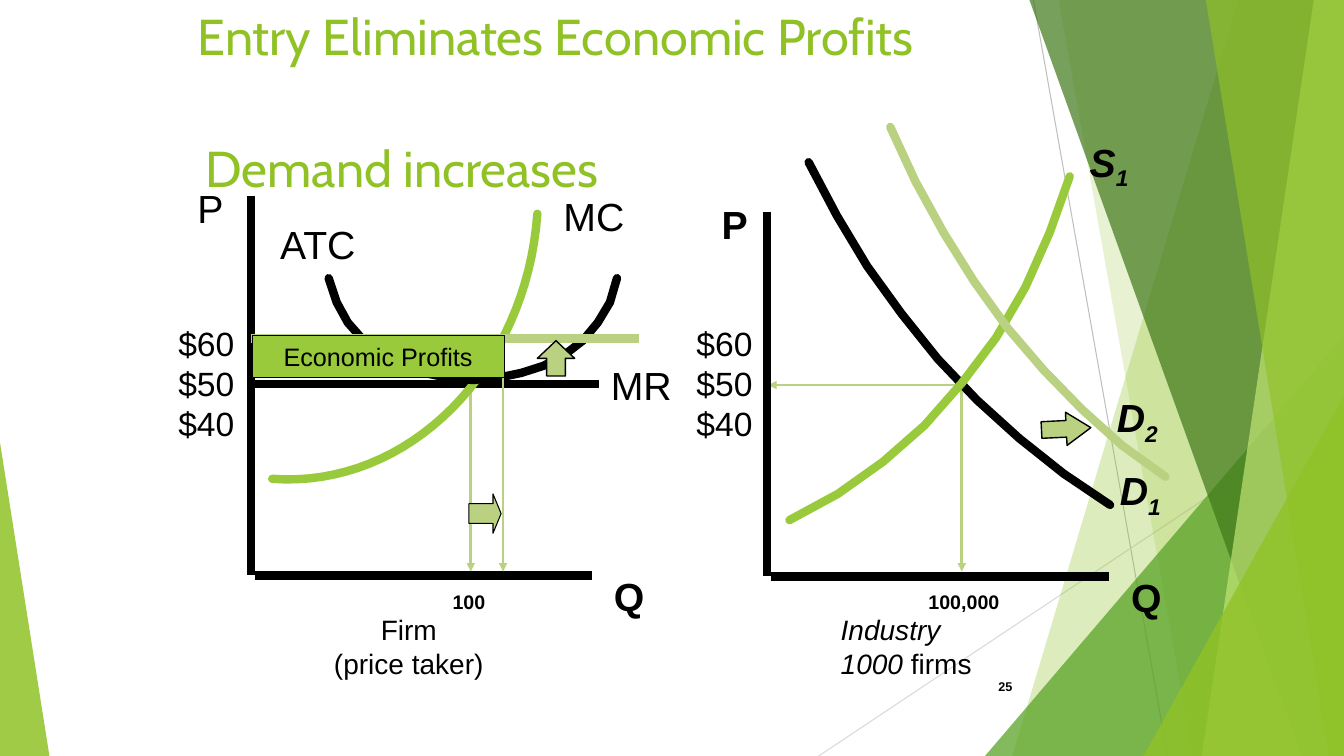
from lxml import etree
from pptx import Presentation
from pptx.dml.color import RGBColor
from pptx.enum.shapes import MSO_CONNECTOR, MSO_SHAPE
from pptx.enum.text import MSO_ANCHOR, PP_ALIGN
from pptx.oxml.ns import qn
from pptx.util import Inches, Pt

TRI, RECT = MSO_SHAPE.ISOSCELES_TRIANGLE, MSO_SHAPE.RECTANGLE
UP, RIGHT = MSO_SHAPE.UP_ARROW, MSO_SHAPE.RIGHT_ARROW
STRAIGHT = MSO_CONNECTOR.STRAIGHT
LEFT, MID, END = PP_ALIGN.LEFT, PP_ALIGN.CENTER, PP_ALIGN.RIGHT
TOP, CENTER = MSO_ANCHOR.TOP, MSO_ANCHOR.MIDDLE
BLACK, LIME, PALE, BRAND = "000000", "99CA3C", "B9D181", "90C226"
WIDE, HIGH = 13.33, 7.5

# Backdrop: hairlines, then bands (top left, top right, bottom right, bottom left) and triangles
HAIRS = [(10.25, 0, 11.58, 7.5, "BFBFBF", 0.75), (WIDE, 4.03, 8.12, 7.5, "D9D9D9", 0.75)]
BACKDROP = [
    ("band", (12.28, 10.04), BRAND, 30),
    ("band", (10.5, 11.83), BRAND, 20),
    ("tri", (9.77, 3.33, 3.56, 4.17, 1), "54A021", 72),
    ("band", (10.21, 12.91), "3F7819", 70),
    ("band", (13.03, 11.92), "C0E474", 70),
    ("band", (11.96, 13.18), BRAND, 65),
    ("tri", (11.34, 3.93, 1.99, 3.57, 1), BRAND, 80),
    ("tri", (0, 4.39, 0.49, 3.11, 0), BRAND, 85),
]
# Lines: x1, y1, x2, y2, colour, points
GUIDES = [(9.54, 3.75, 9.54, 5.67, PALE, 2), (4.67, 3.75, 4.67, 5.67, PALE, 2),
          (9.52, 3.82, 7.62, 3.82, PALE, 2)]
AXES = [(2.48, 3.81, 5.94, 3.81, BLACK, 6),
        (2.49, 1.94, 2.49, 5.7, BLACK, 6), (2.53, 5.71, 5.87, 5.71, BLACK, 6),
        (7.61, 2.1, 7.61, 5.71, BLACK, 6), (7.65, 5.72, 11, 5.72, BLACK, 6)]
NEW_PRICE = (2.49, 3.36, 6.34, 3.36, PALE, 6)
NEW_DROP = (4.99, 3.38, 4.99, 5.67, PALE, 1)

DEMAND = [(8.02, 1.61), (8.3, 2.14), (8.6, 2.64), (8.94, 3.11), (9.3, 3.56),
          (9.69, 3.97), (10.11, 4.35), (10.55, 4.7), (11.01, 5.01)]
SUPPLY = [(7.83, 5.16), (8.31, 4.9), (8.76, 4.58), (9.17, 4.22), (9.54, 3.8),
          (9.88, 3.35), (10.17, 2.85), (10.41, 2.31), (10.61, 1.75)]
GROWN = [(8.83, 1.26), (9.08, 1.8), (9.36, 2.31), (9.66, 2.79), (9.99, 3.25),
         (10.35, 3.67), (10.73, 4.06), (11.13, 4.42), (11.56, 4.73)]
ATC = [(3.26, 2.76), (3.34, 3), (3.45, 3.2), (3.6, 3.37), (3.78, 3.52), (3.99, 3.63),
       (4.21, 3.7), (4.45, 3.75), (4.69, 3.77), (4.93, 3.75), (5.17, 3.7), (5.39, 3.63),
       (5.6, 3.52), (5.78, 3.38), (5.93, 3.2), (6.05, 3), (6.12, 2.76)]
MC = [(5.33, 2.12), (5.22, 3.67), (4.05, 4.85), (2.7, 4.75)]  # Bezier control points

# Arrows: shape, box, adjustments, turn, line points
ARROWS = [(UP, (5.33, 3.38, 0.37, 0.35), (0.5, 0.5), 0, 1),
          (RIGHT, (4.65, 4.9, 0.32, 0.39), (0.5, 0.25), 0, 0.75),
          (RIGHT, (10.33, 4.09, 0.49, 0.33), (0.5, 0.74), -2.8, 1)]

# Labels: box, paragraphs of (text, style) runs, size, align; b bold, i italic, s subscript
PRICES = [[("$60", "")], [("$50", "")], [("$40", "")]]
LABELS = [
    ((1.86, 1.78, 0.46, 0.56), [[("P", "")]], 28, LEFT),
    ((5.99, 5.63, 0.5, 0.57), [[("Q", "b")]], 28, LEFT),
    ((5.49, 1.86, 0.97, 0.56), [[("MC", "")]], 28, LEFT),
    ((2.68, 2.14, 1.48, 0.56), [[("ATC", "")]], 28, LEFT),
    ((5.96, 3.54, 0.97, 0.56), [[("MR", "")]], 28, LEFT),
    ((7.06, 1.94, 0.46, 0.56), [[("P", "b")]], 28, LEFT),
    ((11.12, 5.64, 0.5, 0.57), [[("Q", "b")]], 28, LEFT),
    ((10.71, 1.32, 0.67, 0.56), [[("S", "bi"), ("1", "bis")]], 28, LEFT),
    ((11.01, 4.58, 0.66, 0.56), [[("D", "bi"), ("1", "bis")]], 28, LEFT),
    ((10.98, 3.85, 0.76, 0.56), [[("D", "bi"), ("2", "bis")]], 28, LEFT),
    ((1.67, 3.15, 0.76, 1.31), PRICES, 24, LEFT),
    ((6.81, 3.15, 0.76, 1.31), PRICES, 24, LEFT),
    ((4.39, 5.8, 0.6, 0.33), [[("100", "b")]], 14, LEFT),
    ((9.11, 5.8, 1, 0.33), [[("100,000", "b")]], 14, LEFT),
    ((2.65, 6.03, 2.81, 0.76), [[("Firm", "")], [("(price taker)", "")]], 20, MID),
    ((8.24, 6.03, 2.74, 0.76),
     [[("Industry", "i")], [("1000 ", "i"), ("firms", "")]], 20, LEFT),
]
PAGE = (9.39, 6.61, 0.75, 0.4)
HEAD = (1.86, 0, 9.61, 1.15)
SUBHEAD = (1.94, 1.31, 4.18, 0.42)
PROFIT = (2.5, 3.33, 2.5, 0.42)


def rgb(code):
    return RGBColor.from_string(code)


def inch(nums):
    return [Inches(n) for n in nums]


def paint(shape, fill=None, line=None, width=1, alpha=100):
    shape.shadow.inherit = False
    if fill:
        shape.fill.solid()
        shape.fill.fore_color.rgb = rgb(fill)
        if alpha < 100:
            tone = shape.fill._xPr.find(".//" + qn("a:srgbClr"))
            etree.SubElement(tone, qn("a:alpha")).set("val", str(alpha * 1000))
    else:
        shape.fill.background()
    if line:
        shape.line.color.rgb = rgb(line)
        shape.line.width = Pt(width)
    else:
        shape.line.fill.background()


def rule(slide, line, arrow=False):
    *ends, color, width = line
    link = slide.shapes.add_connector(STRAIGHT, *inch(ends))
    link.line.color.rgb = rgb(color)
    link.line.width = Pt(width)
    if arrow:
        etree.SubElement(link.line._get_or_add_ln(), qn("a:tailEnd")).set("type", "triangle")
    etree.SubElement(link._element.spPr, qn("a:effectLst"))


def trace(slide, points, close=False):
    first, *rest = [inch(p) for p in points]
    pen = slide.shapes.build_freeform(*first)
    pen.add_line_segments(rest, close=close)
    return pen.convert_to_shape()


def curve(slide, points, color):
    shape = trace(slide, points)
    paint(shape, line=color, width=6)
    ln = shape.line._get_or_add_ln()
    ln.set("cap", "rnd")
    etree.SubElement(ln, qn("a:round"))


def bezier(a, b, c, d, steps=32):
    def at(t, axis):
        u = 1 - t
        return (u**3 * a[axis] + 3 * u * u * t * b[axis]
                + 3 * u * t * t * c[axis] + t**3 * d[axis])
    return [(at(n / steps, 0), at(n / steps, 1)) for n in range(steps + 1)]


def write(shape, paras, size, align=LEFT, anchor=TOP, font="Arial", color=BLACK):
    frame = shape.text_frame
    frame.word_wrap = True
    frame.vertical_anchor = anchor
    for n, runs in enumerate(paras):
        para = frame.add_paragraph() if n else frame.paragraphs[0]
        para.alignment = align
        for text, style in runs:
            run = para.add_run()
            run.text = text
            run.font.name, run.font.size = font, Pt(size)
            run.font.color.rgb = rgb(color)
            run.font.bold, run.font.italic = "b" in style, "i" in style
            if "s" in style:
                run.font._element.set("baseline", "-25000")


def main():
    deck = Presentation()
    deck.slide_width, deck.slide_height = inch((WIDE, HIGH))
    slide = deck.slides.add_slide(deck.slide_layouts[5])
    shapes = slide.shapes

    for line in HAIRS:
        rule(slide, line)
    for kind, spot, color, alpha in BACKDROP:
        if kind == "band":
            top, foot = spot
            part = trace(slide, [(top, 0), (WIDE, 0), (WIDE, HIGH), (foot, HIGH)], True)
        else:
            part = shapes.add_shape(TRI, *inch(spot[:4]))
            part.adjustments[0] = spot[4]
        paint(part, color, alpha=alpha)

    for line in GUIDES:
        rule(slide, line, True)
    for line in AXES:
        rule(slide, line)
    for points, color in ((DEMAND, BLACK), (SUPPLY, LIME), (bezier(*MC), LIME),
                          (ATC, BLACK), (GROWN, PALE)):
        curve(slide, points, color)
    rule(slide, NEW_PRICE)
    rule(slide, NEW_DROP, True)
    for kind, box, adjust, turn, width in ARROWS:
        arrow = shapes.add_shape(kind, *inch(box))
        arrow.rotation = turn
        for n, value in enumerate(adjust):
            arrow.adjustments[n] = value
        paint(arrow, PALE, BLACK, width)

    profit = shapes.add_shape(RECT, *inch(PROFIT))
    paint(profit, LIME, BLACK, 0.75)
    write(profit, [[("Economic Profits", "")]], 18, MID, CENTER)
    for box, paras, size, align in LABELS:
        write(shapes.add_textbox(*inch(box)), paras, size, align)
    write(shapes.add_textbox(*inch(PAGE)), [[("25", "b")]], 9, END, CENTER)

    title = shapes.title
    title.left, title.top, title.width, title.height = inch(HEAD)
    write(title, [[("Entry Eliminates Economic Profits", "")]], 36, font="Cabin", color=BRAND)
    write(shapes.add_textbox(*inch(SUBHEAD)), [[("Demand increases", "")]], 36,
          font="Cabin", color=BRAND)
    deck.save("out.pptx")


if __name__ == "__main__":
    main()
